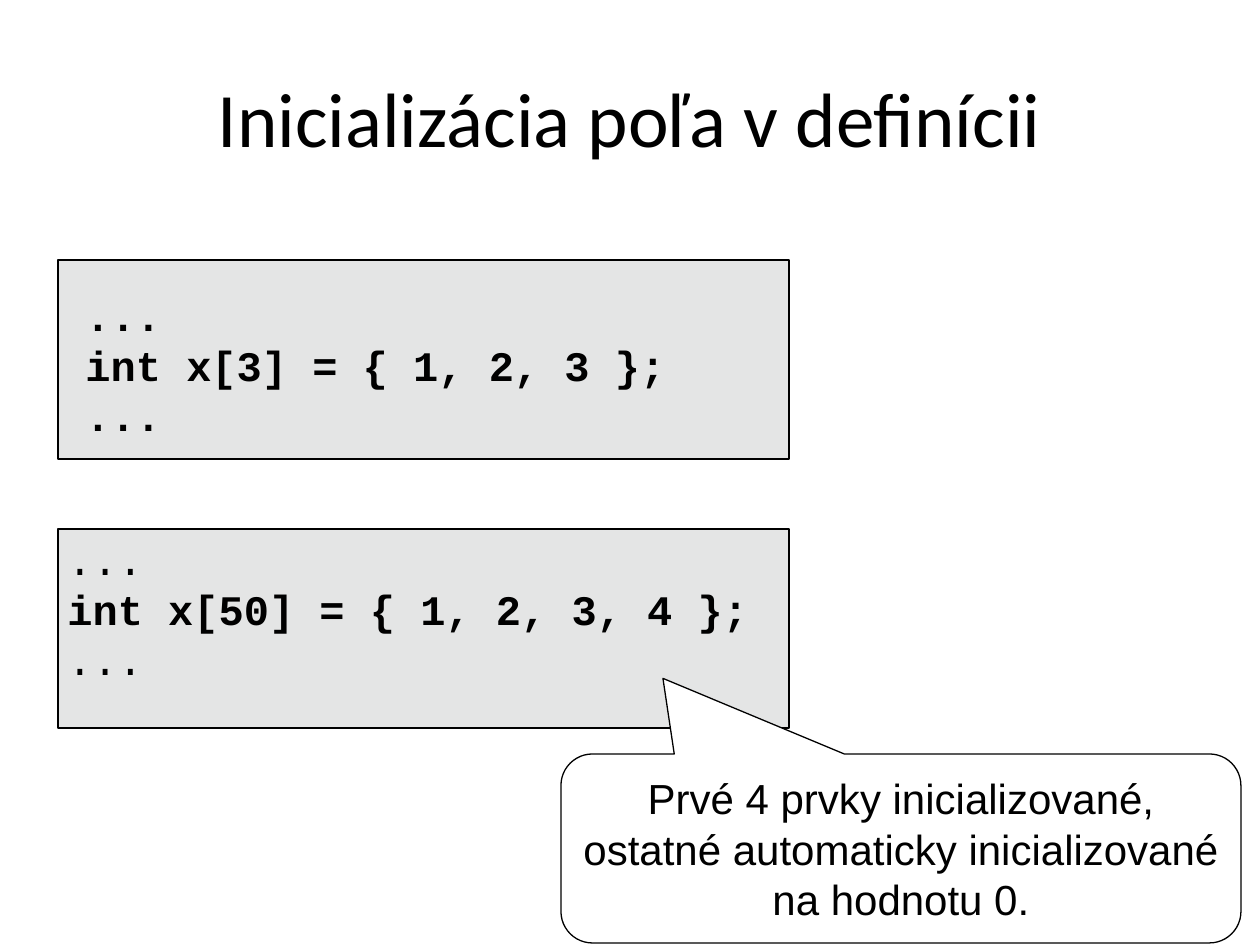
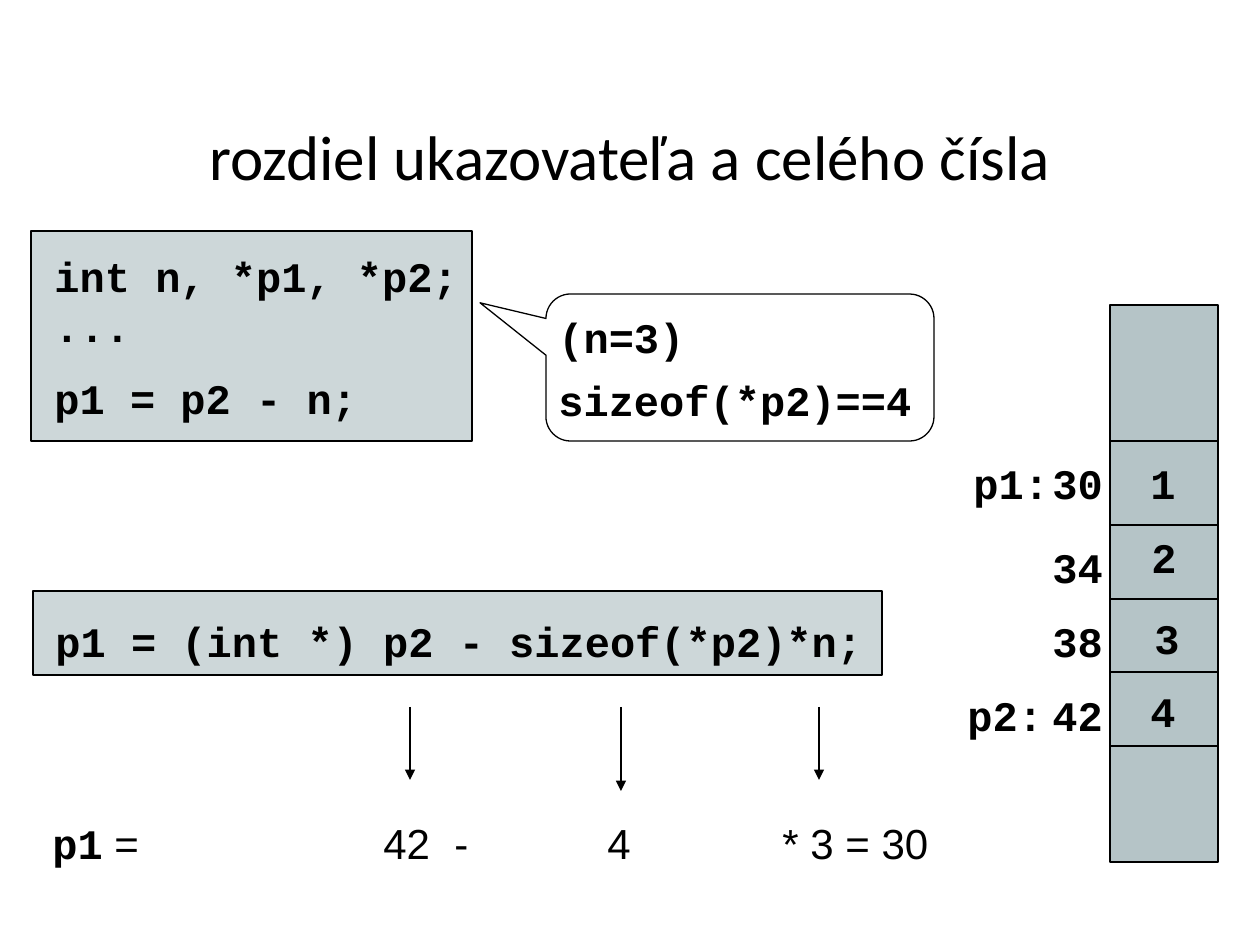
from dataclasses import dataclass

from lxml import etree
from pptx import Presentation
from pptx import util as u
from pptx.dml.color import RGBColor
from pptx.enum import shapes, text
from pptx.oxml.ns import qn

SCALE = 914400 / 126


def px(length):
    """Turn px into EMU."""
    return u.Emu(round(length * SCALE))


@dataclass(frozen=True)
class Theme:
    """Colours, fonts and sizes shared by the slides."""
    ink: str = "000000"
    paper: str = "FFFFFF"
    light_panel: str = "E4E5E5"
    code_panel: str = "CDD7D9"
    memory: str = "B5C4C7"
    title_font: str = "Calibri"
    body_font: str = "Arial"
    code_font: str = "Courier New"
    title_size: int = 44
    subtitle_size: int = 36
    body_size: int = 24
    line_width: float = 0.75


@dataclass(frozen=True)
class Span:
    """A piece of text in one style."""
    words: str
    font: str
    bold: bool = False


class Slides:
    """Hold the deck, its style and the current page."""

    def __init__(self, theme):
        self.theme = theme
        self.deck = Presentation()
        self.deck.slide_width, self.deck.slide_height = px(1260), px(945)
        self.page = None

    def code(self, words, bold=True):
        """Return a one-span paragraph in the code font."""
        return [Span(words, self.theme.code_font, bold)]

    def body(self, words):
        """Return a one-span paragraph in the body font."""
        return [Span(words, self.theme.body_font)]

    def fill_text(self, frame, paragraphs, size, align=text.PP_ALIGN.LEFT,
                  anchor=text.MSO_ANCHOR.TOP):
        """Fill a text frame span by span."""
        frame.word_wrap = True
        frame.auto_size = text.MSO_AUTO_SIZE.NONE
        frame.vertical_anchor = anchor
        for index, spans in enumerate(paragraphs):
            para = frame.add_paragraph() if index else frame.paragraphs[0]
            para.alignment = align
            for span in spans:
                run = para.add_run()
                run.text = span.words
                run.font.name = span.font
                run.font.size = u.Pt(size)
                run.font.bold = span.bold
                run.font.color.rgb = RGBColor.from_string(self.theme.ink)

    def start(self, title, area, size):
        """Open a page with its title."""
        self.page = self.deck.slides.add_slide(self.deck.slide_layouts[5])
        box = self.page.shapes.title
        box.left, box.top, box.width, box.height = map(px, area)
        self.fill_text(box.text_frame, [[Span(title, self.theme.title_font)]], size,
                       text.PP_ALIGN.CENTER, text.MSO_ANCHOR.MIDDLE)

    def outline(self, line):
        """Give a line the common colour and width."""
        line.color.rgb = RGBColor.from_string(self.theme.ink)
        line.width = u.Pt(self.theme.line_width)

    def panel(self, area, fill, kind=shapes.MSO_SHAPE.RECTANGLE):
        """Add a filled and outlined shape."""
        box = self.page.shapes.add_shape(kind, *map(px, area))
        box.shadow.inherit = False
        box.fill.solid()
        box.fill.fore_color.rgb = RGBColor.from_string(fill)
        self.outline(box.line)
        return box

    def callout(self, area, tip_x, tip_y):
        """Add a rounded speech callout."""
        box = self.panel(area, self.theme.paper,
                         shapes.MSO_SHAPE.ROUNDED_RECTANGULAR_CALLOUT)
        box.adjustments[0], box.adjustments[1] = tip_x, tip_y
        return box

    def label(self, area, *paragraphs):
        """Add a text box."""
        box = self.page.shapes.add_textbox(*map(px, area))
        self.fill_text(box.text_frame, paragraphs, self.theme.body_size)
        return box.text_frame

    def line(self, start, end, arrow=False):
        """Add a straight line, with an arrowhead if wanted."""
        line = self.page.shapes.add_connector(
            shapes.MSO_CONNECTOR.STRAIGHT, *map(px, start + end))
        self.outline(line.line)
        properties = line._element.spPr
        if arrow:
            etree.SubElement(properties.find(qn("a:ln")), qn("a:tailEnd"), type="triangle")
        etree.SubElement(properties, qn("a:effectLst"))

    def tabs(self, para, stops):
        """Set left tab stops on a paragraph."""
        tab_list = etree.SubElement(para._p.get_or_add_pPr(), qn("a:tabLst"))
        for stop in stops:
            etree.SubElement(tab_list, qn("a:tab"), pos=str(px(stop)), algn="l")


def array_page(show):
    """Build the page on array initialisation."""
    theme = show.theme
    show.start("Inicializácia poľa v definícii", (63, 38, 1134, 157), theme.title_size)
    for top in (260, 529):
        show.panel((58, top, 731, 199), theme.light_panel)
    show.label((73, 283, 662, 164), show.code("..."),
               show.code("int x[3] = { 1, 2, 3 };"), show.code("..."))
    show.label((55, 527, 733, 265), show.code("...", False),
               show.code("int x[50] = { 1, 2, 3, 4 };"), show.code("...", False))
    note = show.callout((561, 754, 680, 189), -0.35, -0.9)
    words = "Prvé 4 prvky inicializované, ostatné automaticky inicializované na hodnotu 0."
    show.fill_text(note.text_frame, [show.body(words)], theme.body_size,
                   text.PP_ALIGN.CENTER, text.MSO_ANCHOR.MIDDLE)


def pointer_page(show):
    """Build the page on subtracting an integer from a pointer."""
    theme = show.theme
    show.start("rozdiel ukazovateľa a celého čísla", (63, 97, 1134, 117), theme.subtitle_size)

    show.panel((31, 231, 441, 210), theme.code_panel)
    source = show.label((42, 244, 432, 185), show.code("int n, *p1, *p2;"),
                        show.code("..."), show.code("p1 = p2 - n;"))
    source.paragraphs[2].space_before = u.Pt(12)
    show.panel((33, 591, 849, 84), theme.code_panel)
    show.label((43, 609, 836, 63), show.code("p1 = (int *) p2 - sizeof(*p2)*n;"))

    result = show.label((40, 811, 902, 63), show.code("p1")
                        + show.body(" =\t42\t-\t4\t* 3 = 30"))
    show.tabs(result.paragraphs[0], (331, 402, 555, 730))
    for x, end in ((410, 780), (621, 791), (819, 780)):
        show.line((x, 707), (x, end), arrow=True)

    left, width = 1110, 108
    show.panel((left, 305, width, 557), theme.memory)
    for y in (441, 525, 599, 672, 746):
        show.line((left, y), (left + width, y))
    cells = (("30", 451, "1", 1138, 451), ("34", 535, "2", 1139, 525),
             ("38", 609, "3", 1142, 606), ("42", 683, "4", 1138, 679))
    for address, address_top, value, value_left, value_top in cells:
        show.label((1040, address_top, 94, 63), show.code(address))
        show.label((value_left, value_top, 58, 63), show.code(value))
    for name, x, y in (("p1:", 961, 451), ("p2:", 955, 683)):
        show.label((x, y, 116, 63), show.code(name))

    show.callout((546, 294, 388, 147), -0.67, -0.44)
    show.label((546, 305, 154, 63), show.code("(n=3)"))
    show.label((546, 368, 380, 63), show.code("sizeof(*p2)==4"))


def main():
    """Build and save the deck."""
    show = Slides(Theme())
    array_page(show)
    pointer_page(show)
    show.deck.save("out.pptx")


if __name__ == "__main__":
    main()
